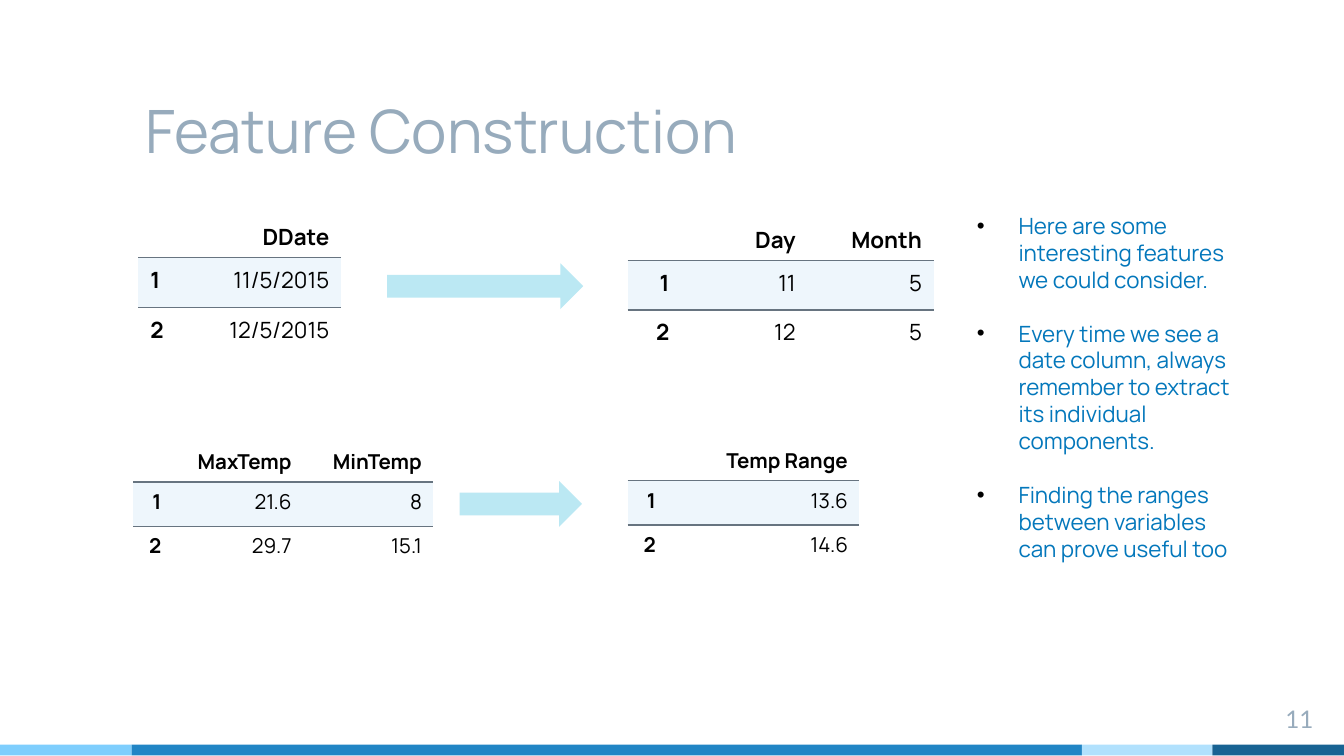
from lxml import etree
from pptx import Presentation
from pptx.dml.color import RGBColor
from pptx.enum.shapes import MSO_SHAPE
from pptx.enum.text import MSO_ANCHOR, PP_ALIGN
from pptx.oxml.ns import qn
from pptx.util import Inches, Pt

RECT, ARROW = MSO_SHAPE.RECTANGLE, MSO_SHAPE.RIGHT_ARROW
LEFT, RIGHT = PP_ALIGN.LEFT, PP_ALIGN.RIGHT
BOTTOM, TOP = MSO_ANCHOR.BOTTOM, MSO_ANCHOR.TOP
FONT = "Manrope"
GREY, BLACK, BLUE = "97ABBC", "000000", "0377BB"
RULE, BAND, SKY = "677480", "EEF6FC", "BBE8F3"
PLAIN = "{2D5ABB26-0587-4C30-8999-92F81FD0307C}"  # no style, no grid

TITLE = "Feature Construction"
NUMBER = "11"
STRIPES = [(0.98, "7ECEFD"), (7.07, "2185C5"), (0.97, "B1E1FD"), (0.98, "186393")]
ARROWS = [(2.88, 1.96, 1.46, 0.34), (3.42, 3.58, 0.91, 0.34)]
NOTES = [
    "Here are some interesting features we could consider.",
    "Every time we see a date column, always remember to extract its individual components.",
    "Finding the ranges between variables can prove useful too",
]
BIG = {"size": 12, "rows": (0.29, 0.37, 0.37), "pad": (0.09, 0.05)}
SMALL = {"size": 11, "rows": (0.26, 0.33, 0.33), "pad": (0.08, 0.04)}
EMPTY = 13  # text size of the blank corner cells, sets the header height
# left, top, column widths, look, rows of text
TABLES = [
    (1.03, 1.6, (0.25, 1.26), BIG,
     [("", "DDate"), ("1", "11/5/2015"), ("2", "12/5/2015")]),
    (4.67, 1.62, (0.4, 0.94, 0.94), BIG,
     [("", "Day", "Month"), ("1", "11", "5"), ("2", "12", "5")]),
    (0.99, 3.29, (0.29, 0.97, 0.97), SMALL,
     [("", "MaxTemp", "MinTemp"), ("1", "21.6", "8"), ("2", "29.7", "15.1")]),
    (4.67, 3.28, (0.29, 1.43), SMALL,
     [("", "Temp Range"), ("1", "13.6"), ("2", "14.6")]),
]


def paint(target, color):
    target.solid()
    target.fore_color.rgb = RGBColor.from_string(color)


def write(para, text, size, color, align=LEFT, bold=False, font=FONT):
    para.alignment = align
    run = para.add_run()
    run.text = text
    run.font.size, run.font.name, run.font.bold = Pt(size), font, bold
    paint(run.font.fill, color)


def pad(frame, across, down):
    frame.margin_left = frame.margin_right = Inches(across)
    frame.margin_top = frame.margin_bottom = Inches(down)


def add_box(slide, *at):
    frame = slide.shapes.add_textbox(*map(Inches, at)).text_frame
    frame.word_wrap = True
    return frame


def add_block(slide, kind, at, color):
    shape = slide.shapes.add_shape(kind, *map(Inches, at))
    shape.shadow.inherit = False
    paint(shape.fill, color)
    shape.line.fill.background()


def add_rule(cell, side):
    line = etree.SubElement(cell._tc.get_or_add_tcPr(), qn("a:ln" + side), w=str(Pt(1)))
    fill = etree.SubElement(line, qn("a:solidFill"))
    etree.SubElement(fill, qn("a:srgbClr"), val=RULE)


def add_grid(slide, left, top, widths, look, rows):
    heights = look["rows"]
    at = map(Inches, (left, top, sum(widths), sum(heights)))
    table = slide.shapes.add_table(len(rows), len(widths), *at).table
    table.first_row = table.horz_banding = False
    table._tbl.tblPr.find(qn("a:tableStyleId")).text = PLAIN
    for col, width in zip(table.columns, widths):
        col.width = Inches(width)
    for r, texts in enumerate(rows):
        table.rows[r].height = Inches(heights[r])
        for c, text in enumerate(texts):
            cell = table.cell(r, c)
            pad(cell, *look["pad"])
            for side in ("", "TB", "T")[r]:
                add_rule(cell, side)
            if r == 1:
                paint(cell.fill, BAND)
            else:
                cell.fill.background()
            para = cell.text_frame.paragraphs[0]
            if text:
                write(para, text, look["size"], BLACK, RIGHT, r == 0 or c == 0)
            else:
                etree.SubElement(para._p, qn("a:endParaRPr"), sz=str(EMPTY * 100))


def add_bullet(para):
    props = para._p.get_or_add_pPr()
    props.set("marL", str(Inches(0.31)))
    props.set("indent", str(Inches(-0.31)))
    tint = etree.SubElement(props, qn("a:buClr"))
    etree.SubElement(tint, qn("a:srgbClr"), val=BLACK)
    etree.SubElement(props, qn("a:buFont"), typeface="Arial")
    etree.SubElement(props, qn("a:buChar"), char="•")


deck = Presentation()
deck.slide_width = Inches(10)
deck.slide_height = deck.slide_width * 9 // 16
slide = deck.slides.add_slide(deck.slide_layouts[5])

left = 0
for width, color in STRIPES:
    add_block(slide, RECT, (left, 5.54, width, 0.08), color)
    left += width

title = slide.shapes.title
title.left, title.top = Inches(0.98), Inches(0.39)
title.width, title.height = Inches(7.07), Inches(0.94)
frame = title.text_frame
frame.vertical_anchor = BOTTOM
pad(frame, 0.1, 0.1)
write(frame.paragraphs[0], TITLE, 32, GREY)

frame = add_box(slide, 9.27, 5.14, 0.6, 0.34)
pad(frame, 0.1, 0.1)
write(frame.paragraphs[0], NUMBER, 13, GREY, RIGHT, font="Lato")

for grid in TABLES:
    add_grid(slide, *grid)
for at in ARROWS:
    add_block(slide, ARROW, at, SKY)

frame = add_box(slide, 7.17, 1.53, 2.22, 2.73)
frame.vertical_anchor = TOP
for i, note in enumerate(NOTES):
    para = frame.add_paragraph() if i else frame.paragraphs[0]
    para.space_after = Pt(14.4 if i < len(NOTES) - 1 else 0)
    add_bullet(para)
    write(para, note, 12, BLUE)

deck.save("out.pptx")
